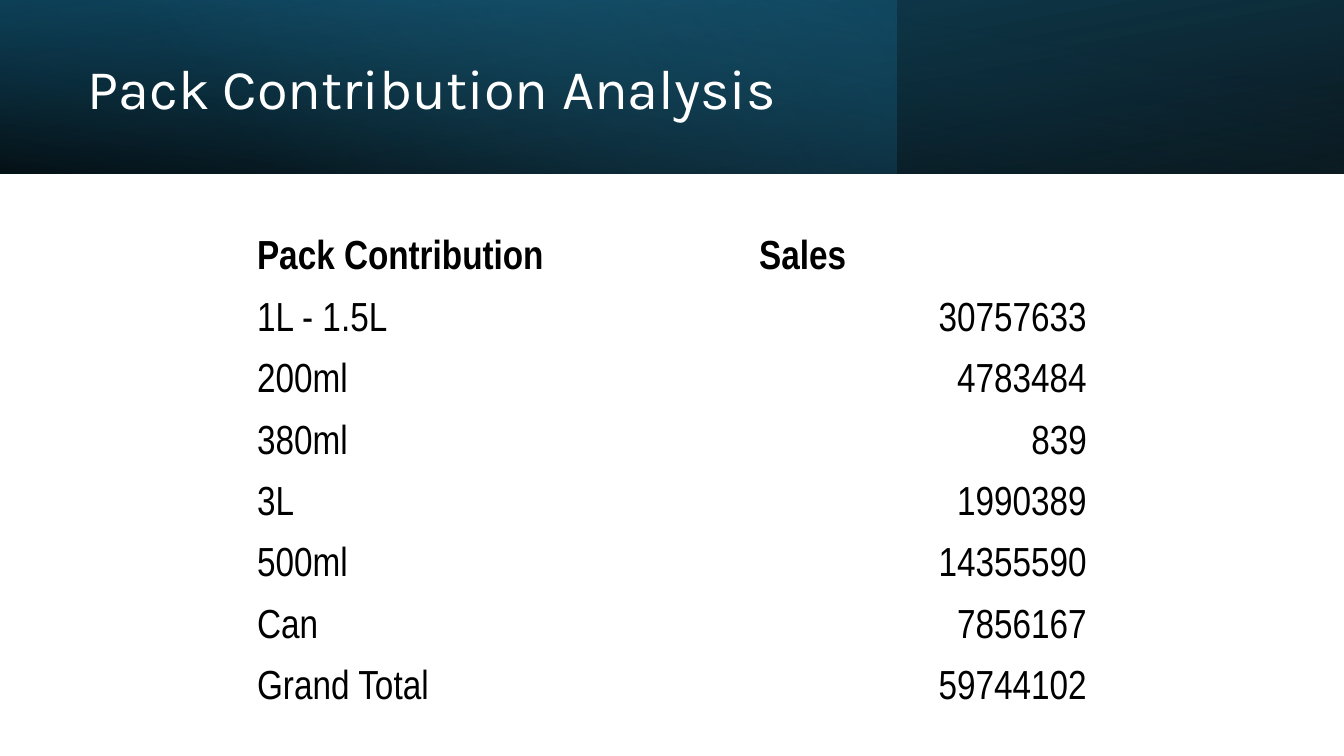
from lxml import etree
from pptx import Presentation
from pptx import oxml
from pptx.dml.color import RGBColor
from pptx.enum import shapes, text
from pptx.util import Inches, Pt

BANNER_HEIGHT = 1.72
ROW_HEIGHT = 0.61
PACK_SALES = [
    ("Pack Contribution", "Sales"),
    ("1L - 1.5L", "30757633"),
    ("200ml", "4783484"),
    ("380ml", "839"),
    ("3L", "1990389"),
    ("500ml", "14355590"),
    ("Can", "7856167"),
    ("Grand Total", "59744102"),
]


def format_text(paragraph, font_name, size, color, bold=False):
    font = paragraph.runs[0].font
    font.name = font_name
    font.size = Pt(size)
    font.bold = bold
    font.color.rgb = RGBColor.from_string(color)


def gradient_fill(stops, angle):
    """Build a linear gradient from (position, colour, opacity) stops in percent."""
    stop_xml = "".join(
        f'<a:gs pos="{position * 1000}"><a:srgbClr val="{color}">'
        f'<a:alpha val="{opacity * 1000}"/></a:srgbClr></a:gs>'
        for position, color, opacity in stops
    )
    return oxml.parse_xml(
        '<a:gradFill xmlns:a="http://schemas.openxmlformats.org/drawingml/2006/main"'
        f' rotWithShape="1"><a:gsLst>{stop_xml}</a:gsLst>'
        f'<a:lin ang="{angle * 60000}" scaled="0"/></a:gradFill>'
    )


def add_banner_layer(slide, width, stops, angle, flipped=False, rotation=0):
    layer = slide.shapes.add_shape(
        shapes.MSO_SHAPE.RECTANGLE, 0, 0, Inches(width), Inches(BANNER_HEIGHT)
    )
    layer.shadow.inherit = False
    layer.line.fill.background()
    layer.rotation = rotation
    properties = layer._element.spPr
    if flipped:
        properties.get_or_add_xfrm().set("flipH", "1")
    properties.prstGeom.addnext(gradient_fill(stops, angle))


def add_title(slide, title):
    box = slide.shapes.add_textbox(Inches(0.77), Inches(0.27), Inches(7.72), Inches(1.27))
    frame = box.text_frame
    frame.word_wrap = True
    frame.vertical_anchor = text.MSO_ANCHOR.MIDDLE
    frame.text = title
    paragraph = frame.paragraphs[0]
    paragraph.line_spacing = 0.9
    format_text(paragraph, "Karla", 40, "FFFFFF")


def fill_cell(cell, value, bold, alignment):
    cell.fill.background()
    cell.vertical_anchor = text.MSO_ANCHOR.BOTTOM
    cell.margin_left = cell.margin_right = cell.margin_top = Inches(0.02)
    cell.margin_bottom = 0
    cell.text = value
    paragraph = cell.text_frame.paragraphs[0]
    paragraph.alignment = alignment
    format_text(paragraph, "Arial Narrow", 29, "000000", bold)


def add_sales_table(slide, rows):
    column_widths = (4.98, 3.29)
    table = slide.shapes.add_table(
        len(rows), len(column_widths), Inches(2.53), Inches(2.15),
        Inches(sum(column_widths)), Inches(ROW_HEIGHT * len(rows)),
    ).table
    table.first_row = table.horz_banding = False
    for column, width in zip(table.columns, column_widths):
        column.width = Inches(width)
    for row_index, row in enumerate(rows):
        is_header = row_index == 0
        for column_index, value in enumerate(row):
            is_number = column_index == 1 and not is_header
            alignment = text.PP_ALIGN.RIGHT if is_number else text.PP_ALIGN.LEFT
            fill_cell(table.cell(row_index, column_index), value, is_header, alignment)


def main():
    presentation = Presentation()
    presentation.slide_width = Inches(13.33)
    presentation.slide_height = Inches(7.5)
    slide = presentation.slides.add_slide(presentation.slide_layouts[6])

    add_banner_layer(slide, 13.33, [(0, "000000", 96), (100, "104862", 100)], 100,
                     flipped=True, rotation=180)
    add_banner_layer(slide, 8.89, [(0, "156082", 41), (74, "46B1E1", 0)], 140)
    add_banner_layer(slide, 13.33, [(0, "000000", 63), (78, "156082", 15)], 260,
                     flipped=True)
    add_title(slide, "Pack Contribution Analysis")
    add_sales_table(slide, PACK_SALES)
    presentation.save("out.pptx")


if __name__ == "__main__":
    main()
